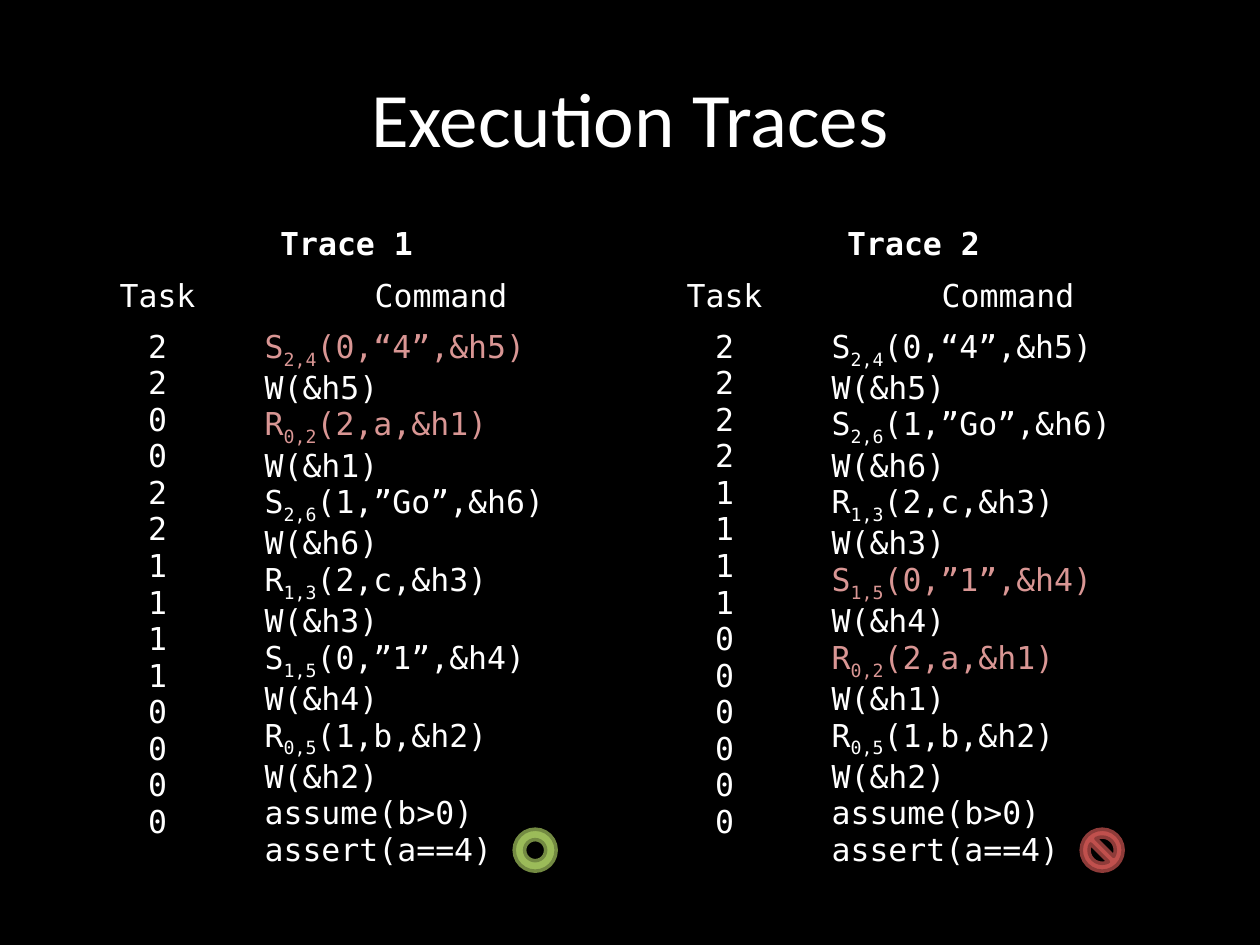
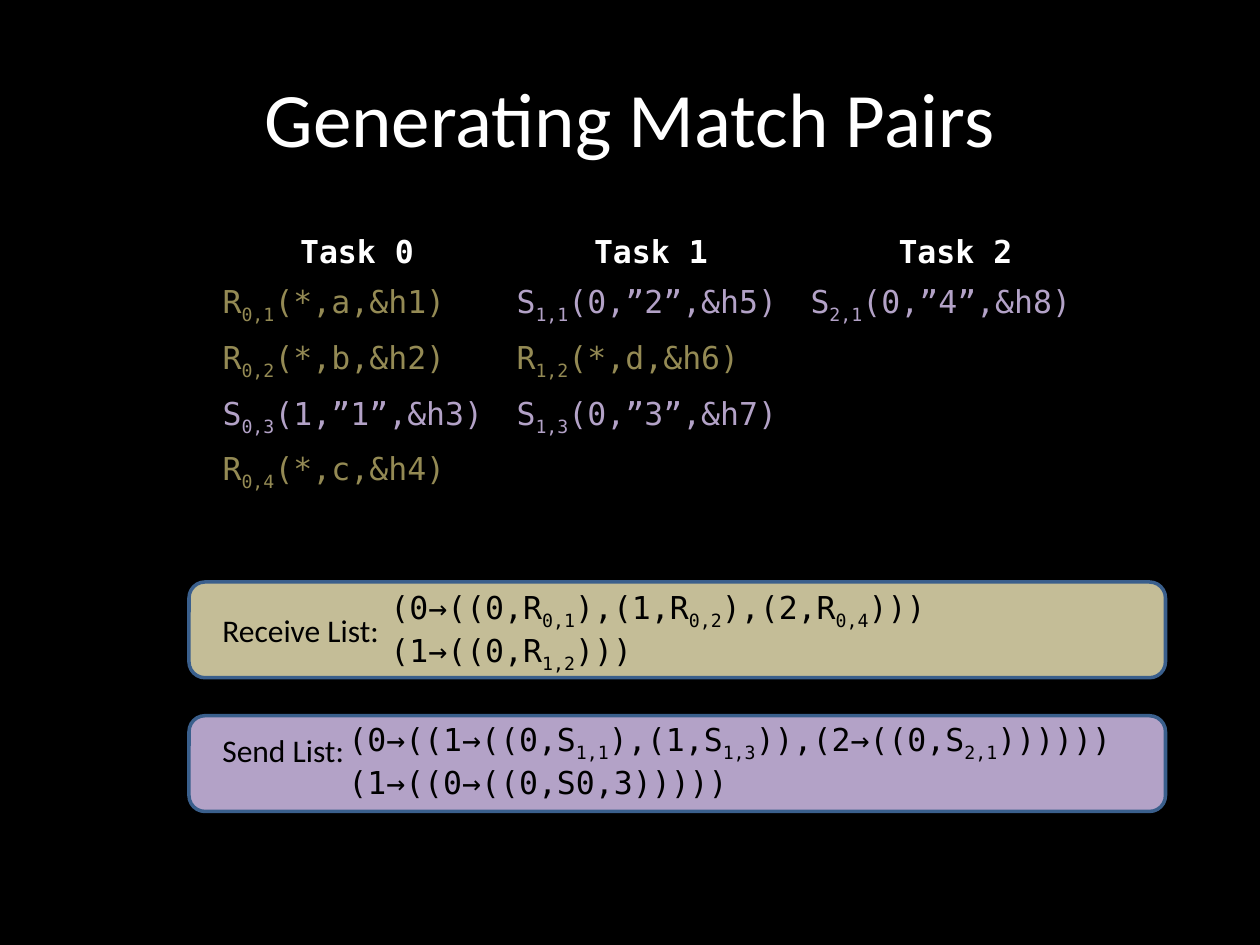
from pptx import Presentation
from pptx.util import Pt
from pptx.dml.color import RGBColor as Rgb
from pptx.enum.shapes import MSO_SHAPE as Geo
from pptx.enum.text import PP_ALIGN as Align, MSO_ANCHOR as Anchor

MONO, SANS = "DejaVu Sans Mono", "Calibri"
BLACK, WHITE, ROSE = "000000", "FFFFFF", "D99694"
OLIVE, LILAC, SAND, BLUE = "948A54", "B3A2C7", "C4BD97", "3A5F8C"
PLAIN = "{2D5ABB26-0587-4C30-8999-92F81FD0307C}"

TRACES = [
    ("Trace 1", "22002211110000", (0, 2),
     ["S~2,4~(0,“4”,&h5)", "W(&h5)", "R~0,2~(2,a,&h1)", "W(&h1)",
      "S~2,6~(1,”Go”,&h6)", "W(&h6)", "R~1,3~(2,c,&h3)", "W(&h3)",
      "S~1,5~(0,”1”,&h4)", "W(&h4)", "R~0,5~(1,b,&h2)", "W(&h2)",
      "assume(b>0)", "assert(a==4)"],
     Geo.DONUT, "9BBB59", "738A42"),
    ("Trace 2", "22221111000000", (6, 8),
     ["S~2,4~(0,“4”,&h5)", "W(&h5)", "S~2,6~(1,”Go”,&h6)", "W(&h6)",
      "R~1,3~(2,c,&h3)", "W(&h3)", "S~1,5~(0,”1”,&h4)", "W(&h4)",
      "R~0,2~(2,a,&h1)", "W(&h1)", "R~0,5~(1,b,&h2)", "W(&h2)",
      "assume(b>0)", "assert(a==4)"],
     Geo.NO_SYMBOL, "C0504D", "8E3B39"),
]
TASKS = [
    ("Task 0", ["R~0,1~(*,a,&h1)", "R~0,2~(*,b,&h2)",
                "S~0,3~(1,”1”,&h3)", "R~0,4~(*,c,&h4)"]),
    ("Task 1", ["S~1,1~(0,”2”,&h5)", "R~1,2~(*,d,&h6)", "S~1,3~(0,”3”,&h7)"]),
    ("Task 2", ["S~2,1~(0,”4”,&h8)"]),
]
LISTS = [
    ("Receive List: ", SAND, 332.6, (345.6, 109), (216, 332.6, 342),
     ["(0→((0,R~0,1~),(1,R~0,2~),(2,R~0,4~)))", "(1→((0,R~1,2~)))"]),
    ("Send List: ", LILAC, 409, (414, 89), (192, 408.2, 492),
     ["(0→((1→((0,S~1,1~),(1,S~1,3~)),(2→((0,S~2,1~))))))",
      "(1→((0→((0,S0,3)))))"]),
]


def paint(fill, tone):
    fill.solid()
    fill.fore_color.rgb = Rgb.from_string(tone)


def write(frame, lines, tone=WHITE, face=MONO, size=18, bold=False, align=Align.LEFT):
    tones = [tone] * len(lines) if isinstance(tone, str) else tone
    for i, (line, hue) in enumerate(zip(lines, tones)):
        para = frame.add_paragraph() if i else frame.paragraphs[0]
        para.alignment = align
        for j, part in enumerate(line.split("~")):
            run = para.add_run()
            run.text = part
            font = run.font
            font.name, font.size, font.bold = face, Pt(size), bold
            font.color.rgb = Rgb.from_string(hue)
            if j % 2:
                run._r.get_or_add_rPr().set("baseline", "-25000")


def page(title):
    slide = deck.slides.add_slide(deck.slide_layouts[5])
    head = slide.shapes.title
    head.left, head.top, head.width, head.height = Pt(36), Pt(21.6), Pt(648), Pt(90)
    head.text_frame.vertical_anchor = Anchor.MIDDLE
    write(head.text_frame, [title], face=SANS, size=44, align=Align.CENTER)
    return slide.shapes


def grid(shapes, left, top, cols, rows):
    box = shapes.add_table(len(rows), len(cols), Pt(left), Pt(top),
                           Pt(sum(cols)), Pt(sum(rows)))
    table = box.table
    table._tbl.tblPr[0].text = PLAIN
    table.first_row = table.horz_banding = False
    for col, wide in zip(table.columns, cols):
        col.width = Pt(wide)
    for row, high in zip(table.rows, rows):
        row.height = Pt(high)
    for cell in table.iter_cells():
        paint(cell.fill, BLACK)
    return table


def shape(shapes, kind, left, top, wide, high, tone, edge):
    item = shapes.add_shape(kind, Pt(left), Pt(top), Pt(wide), Pt(high))
    item.shadow.inherit = False
    paint(item.fill, tone)
    paint(item.line.fill, edge)
    item.line.width = Pt(2)


def label(shapes, left, top, wide, high, lines, face, wrap):
    frame = shapes.add_textbox(Pt(left), Pt(top), Pt(wide), Pt(high)).text_frame
    frame.word_wrap = wrap
    write(frame, lines, BLACK, face)


deck = Presentation()
deck.slide_width, deck.slide_height = Pt(720), Pt(540)
paint(deck.slide_master.background.fill, BLACK)

shapes = page("Execution Traces")
table = grid(shapes, 36, 126, [108, 216] * 2, [29.2] * 3)
for i, (name, tasks, hot, steps, mark, tone, edge) in enumerate(TRACES):
    a, b = 2 * i, 2 * i + 1
    table.cell(0, a).merge(table.cell(0, b))
    write(table.cell(0, a).text_frame, [name], bold=True, align=Align.CENTER)
    for col, text in ((a, "Task"), (b, "Command")):
        write(table.cell(1, col).text_frame, [text], align=Align.CENTER)
    write(table.cell(2, a).text_frame, list(tasks), align=Align.CENTER)
    hues = [ROSE if n in hot else WHITE for n in range(len(steps))]
    write(table.cell(2, b).text_frame, steps, hues)
    shape(shapes, mark, 293.8 + 324 * i, 473.8, 24, 24, tone, edge)

shapes = page("Generating Match Pairs")
for name, tone, top, (high, wide), (left, y, span), lines in LISTS:
    shape(shapes, Geo.ROUNDED_RECTANGLE, 108, top, 558, 54.7, tone, BLUE)
    label(shapes, 120, high, wide, 29, [name], SANS, False)
    label(shapes, left, y, span, 52, lines, MONO, True)
table = grid(shapes, 120, 130.3, [168, 168, 180], [9.4] + [29.2] * 4)
for col, (name, calls) in enumerate(TASKS):
    write(table.cell(0, col).text_frame, [name], bold=True, align=Align.CENTER)
    for row, call in enumerate(calls, 1):
        tone = OLIVE if call[0] == "R" else LILAC
        write(table.cell(row, col).text_frame, [call], tone)

deck.save("out.pptx")
